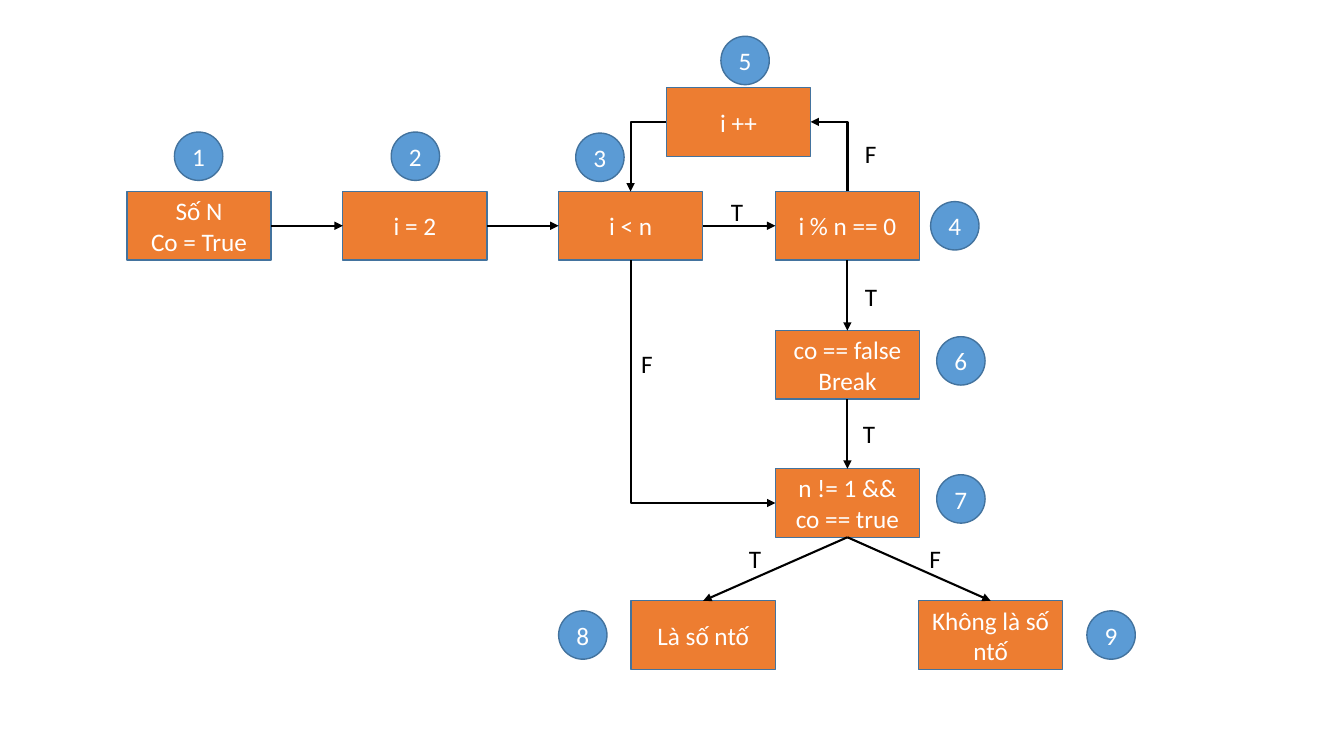
from dataclasses import dataclass

from lxml import etree
from pptx import Presentation
from pptx.dml.color import RGBColor
from pptx.enum.shapes import MSO_CONNECTOR, MSO_SHAPE
from pptx.enum.text import MSO_ANCHOR, MSO_AUTO_SIZE, PP_ALIGN
from pptx.oxml.ns import qn
from pptx.util import Inches, Pt

RECTANGLE = MSO_SHAPE.RECTANGLE
OVAL = MSO_SHAPE.OVAL
STRAIGHT = MSO_CONNECTOR.STRAIGHT
ELBOW = MSO_CONNECTOR.ELBOW
MIDDLE = MSO_ANCHOR.MIDDLE
CENTER = PP_ALIGN.CENTER
LEFT_ALIGNED = PP_ALIGN.LEFT
FIT_SHAPE = MSO_AUTO_SIZE.SHAPE_TO_FIT_TEXT

TOP, LEFT, BOTTOM, RIGHT = range(4)
BOX_WIDTH, BOX_HEIGHT = 1.43, 0.68
BADGE_SIZE = 0.48
LABEL_WIDTH, LABEL_HEIGHT = 0.36, 0.4
ORANGE, BLUE, OUTLINE = "ED7D31", "5B9BD5", "43739E"
BLACK, WHITE = "000000", "FFFFFF"


@dataclass(frozen=True)
class Step:
    number: int
    text: str
    left: float
    top: float
    badge_left: float
    badge_top: float


@dataclass(frozen=True)
class Arrow:
    source: int
    source_side: int
    target: int
    target_side: int
    bent: bool = False


@dataclass(frozen=True)
class Label:
    text: str
    left: float
    top: float


STEPS = [
    Step(1, "Số N\nCo = True", 1.26, 1.9, 1.73, 1.31),
    Step(2, "i = 2", 3.4, 1.9, 3.88, 1.31),
    Step(3, "i < n", 5.54, 1.9, 5.71, 1.32),
    Step(4, "i % n == 0", 7.69, 1.9, 9.23, 2.0),
    Step(5, "i ++", 6.61, 0.87, 7.15, 0.36),
    Step(6, "co == false\nBreak", 7.69, 3.28, 9.29, 3.34),
    Step(7, "n != 1 && co == true", 7.69, 4.65, 9.29, 4.71),
    Step(8, "Là số ntố", 6.26, 5.96, 5.54, 6.06),
    Step(9, "Không là số ntố", 9.11, 5.96, 10.78, 6.06),
]

ARROWS = [
    Arrow(1, RIGHT, 2, LEFT),
    Arrow(2, RIGHT, 3, LEFT),
    Arrow(3, RIGHT, 4, LEFT),
    Arrow(4, BOTTOM, 6, TOP),
    Arrow(6, BOTTOM, 7, TOP),
    Arrow(7, BOTTOM, 9, TOP),
    Arrow(7, BOTTOM, 8, TOP),
    Arrow(4, TOP, 5, RIGHT, bent=True),
    Arrow(5, LEFT, 3, TOP, bent=True),
    Arrow(3, BOTTOM, 7, LEFT, bent=True),
]

LABELS = [
    Label("T", 7.15, 1.9),
    Label("T", 8.48, 2.74),
    Label("T", 8.46, 4.1),
    Label("T", 7.33, 5.34),
    Label("F", 8.48, 1.32),
    Label("F", 9.12, 5.34),
    Label("F", 6.26, 3.41),
]


def color(value: str) -> RGBColor:
    return RGBColor.from_string(value)


def write_text(text_frame, text: str, *, font_color: str, alignment=CENTER,
               size: float = 18, font: str = "Calibri") -> None:
    for index, line in enumerate(text.split("\n")):
        paragraph = text_frame.add_paragraph() if index else text_frame.paragraphs[0]
        paragraph.alignment = alignment
        run = paragraph.add_run()
        run.text = line
        run.font.name = font
        run.font.size = Pt(size)
        run.font.color.rgb = color(font_color)


def add_filled_shape(slide, kind, text: str, left: float, top: float,
                     width: float, height: float, fill: str):
    shape = slide.shapes.add_shape(
        kind, Inches(left), Inches(top), Inches(width), Inches(height))
    shape.shadow.inherit = False
    shape.fill.solid()
    shape.fill.fore_color.rgb = color(fill)
    shape.line.color.rgb = color(OUTLINE)
    shape.line.width = Pt(1)
    shape.text_frame.word_wrap = True
    shape.text_frame.vertical_anchor = MIDDLE
    write_text(shape.text_frame, text, font_color=WHITE)
    return shape


def add_label(slide, label: Label) -> None:
    box = slide.shapes.add_textbox(Inches(label.left), Inches(label.top),
                                   Inches(LABEL_WIDTH), Inches(LABEL_HEIGHT))
    box.text_frame.word_wrap = False
    box.text_frame.auto_size = FIT_SHAPE
    write_text(box.text_frame, label.text, font_color=BLACK, alignment=LEFT_ALIGNED)


def turn_vertical_first(connector) -> None:
    across = connector.end_x - connector.begin_x
    down = connector.end_y - connector.begin_y
    center_x = (connector.begin_x + connector.end_x) // 2
    center_y = (connector.begin_y + connector.end_y) // 2
    connector.begin_x = center_x + down // 2
    connector.begin_y = center_y - across // 2
    connector.end_x = center_x - down // 2
    connector.end_y = center_y + across // 2
    connector._element.spPr.find(qn("a:xfrm")).set("rot", str(270 * 60000))


def add_arrow(slide, arrow: Arrow, boxes: dict) -> None:
    connector = slide.shapes.add_connector(ELBOW if arrow.bent else STRAIGHT, 0, 0, 0, 0)
    connector.begin_connect(boxes[arrow.source], arrow.source_side)
    connector.end_connect(boxes[arrow.target], arrow.target_side)
    connector.line.color.rgb = color(BLACK)
    connector.line.width = Pt(1.5)
    properties = connector._element.spPr
    if arrow.bent:
        properties.find(qn("a:prstGeom")).set("prst", "bentConnector2")
        if arrow.source_side in (TOP, BOTTOM):
            turn_vertical_first(connector)
    etree.SubElement(properties.find(qn("a:ln")), qn("a:tailEnd"), type="triangle")
    etree.SubElement(properties, qn("a:effectLst"))


def main() -> None:
    presentation = Presentation()
    presentation.slide_width = Inches(13.33)
    presentation.slide_height = Inches(7.5)
    slide = presentation.slides.add_slide(presentation.slide_layouts[6])
    boxes = {
        step.number: add_filled_shape(slide, RECTANGLE, step.text, step.left, step.top,
                                      BOX_WIDTH, BOX_HEIGHT, ORANGE)
        for step in STEPS
    }
    for arrow in ARROWS:
        add_arrow(slide, arrow, boxes)
    for label in LABELS:
        add_label(slide, label)
    for step in STEPS:
        add_filled_shape(slide, OVAL, str(step.number), step.badge_left, step.badge_top,
                         BADGE_SIZE, BADGE_SIZE, BLUE)
    presentation.save("out.pptx")


if __name__ == "__main__":
    main()
